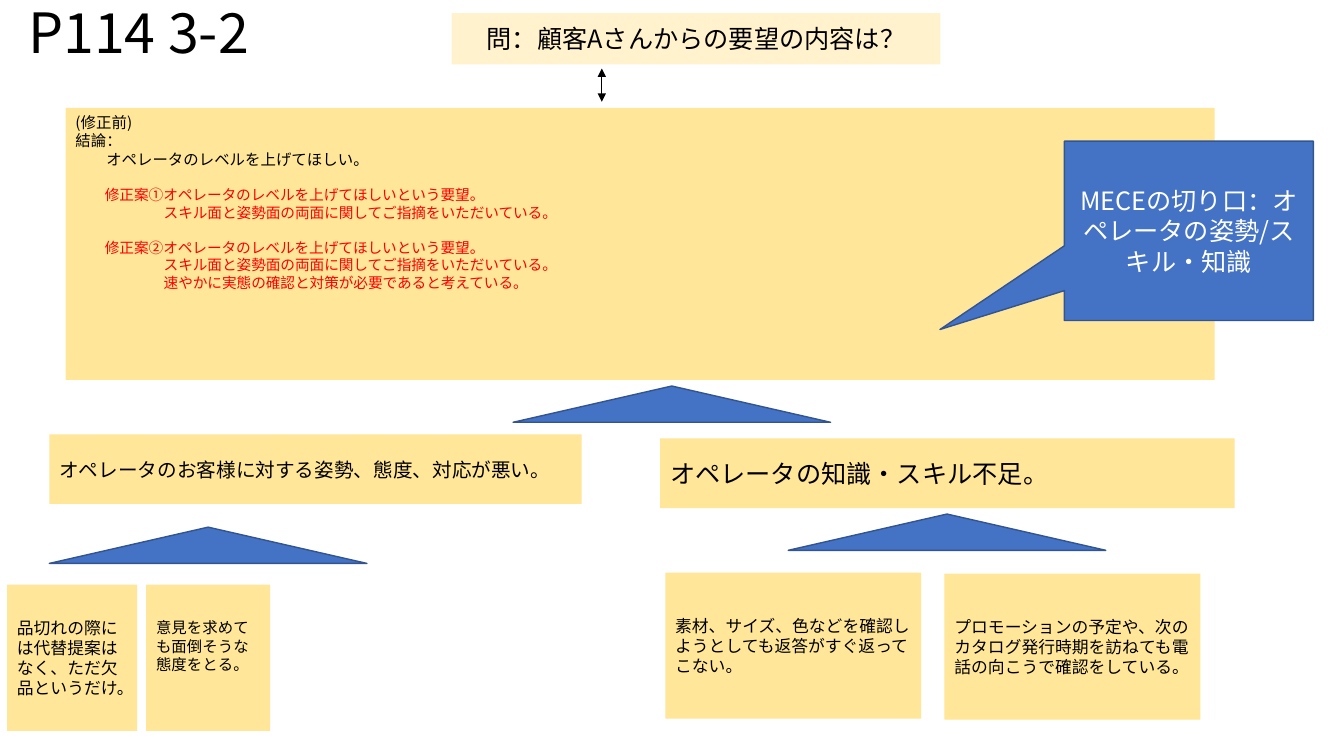
"""Builds the one-slide logic pyramid on a customer's request."""
from dataclasses import dataclass

from lxml import etree
from pptx import Presentation
from pptx.dml.color import RGBColor
from pptx.enum.shapes import MSO_CONNECTOR, MSO_SHAPE
from pptx.enum.text import MSO_ANCHOR, MSO_AUTO_SIZE, PP_ALIGN
from pptx.oxml.ns import qn
from pptx.util import Inches, Pt

RECT, WEDGE = MSO_SHAPE.RECTANGLE, MSO_SHAPE.RECTANGULAR_CALLOUT
PEAK = MSO_SHAPE.ISOSCELES_TRIANGLE
LINE = MSO_CONNECTOR.STRAIGHT
LEFT, CENTER = PP_ALIGN.LEFT, PP_ALIGN.CENTER
TOP, MIDDLE = MSO_ANCHOR.TOP, MSO_ANCHOR.MIDDLE
FIXED = MSO_AUTO_SIZE.NONE
COLS, ROWS = 160, 90


@dataclass(frozen=True)
class Theme:
    """Colours, font and type sizes."""
    font: str = "Noto Sans CJK JP"
    ink: str = "000000"
    red: str = "FF0000"
    white: str = "FFFFFF"
    cream: str = "FFF2CC"
    sand: str = "FFE699"
    blue: str = "4472C4"
    edge: str = "325491"
    title: float = 39.6
    large: float = 18
    mid: float = 14
    body: float = 12
    small: float = 11
    tiny: float = 10.5


class Board:
    """Holds the theme and the slide, and adds elements on the grid."""

    def __init__(self, deck, theme):
        """Add a slide with a title."""
        self.theme = theme
        self.slide = deck.slides.add_slide(deck.slide_layouts[5])
        self.unit = deck.slide_width / COLS, deck.slide_height / ROWS

    def place(self, *cells):
        """Turn grid pairs into lengths."""
        return [round(cell * self.unit[i % 2]) for i, cell in enumerate(cells)]

    def style(self, para, size, color, align=LEFT):
        """Format a paragraph and its runs."""
        para.alignment = align
        for run in para.runs:
            font = run.font
            font.size = Pt(size)
            font.color.rgb = RGBColor.from_string(color)
            font.name = self.theme.font
            east = etree.SubElement(run._r.get_or_add_rPr(), qn("a:ea"))
            east.set("typeface", self.theme.font)

    def title(self, cells, text):
        """Move and fill the title placeholder."""
        shape = self.slide.shapes.title
        shape.left, shape.top, shape.width, shape.height = self.place(*cells)
        frame = shape.text_frame
        frame.text = text
        frame.auto_size = FIXED
        frame.vertical_anchor = MIDDLE
        frame.paragraphs[0].line_spacing = 0.9
        self.style(frame.paragraphs[0], self.theme.title, self.theme.ink)

    def shape(self, kind, cells, fill, edge=None):
        """Add a flat preset shape."""
        shape = self.slide.shapes.add_shape(kind, *self.place(*cells))
        shape.shadow.inherit = False
        shape.fill.solid()
        shape.fill.fore_color.rgb = RGBColor.from_string(fill)
        if edge:
            shape.line.color.rgb = RGBColor.from_string(edge)
            shape.line.width = Pt(1)
        else:
            shape.line.fill.background()
        return shape

    def label(self, shape, text, size, color, align=LEFT):
        """Set vertically centred text in a shape."""
        frame = shape.text_frame
        frame.word_wrap = True
        frame.vertical_anchor = MIDDLE
        frame.text = text
        self.style(frame.paragraphs[0], size, color, align)
        return frame

    def box(self, cells, text, size, fill=None, align=LEFT):
        """Add a filled text box."""
        shape = self.shape(RECT, cells, fill or self.theme.sand)
        return self.label(shape, text, size, self.theme.ink, align)

    def lines(self, cells, rows):
        """Add a box of lines given as text, size, colour, indent, gap."""
        shape = self.shape(RECT, cells, self.theme.sand)
        frame = shape.text_frame
        frame.word_wrap = True
        frame.vertical_anchor = TOP
        frame.text = "\n".join(row[0] for row in rows)
        for para, (_, size, color, indent, gap) in zip(frame.paragraphs, rows):
            self.style(para, size, color)
            para.space_before = Pt(gap)
            para._p.get_or_add_pPr().set("marL", str(Pt(indent * size)))

    def peak(self, col, row):
        """Add a flat triangle pointing up to the claim."""
        self.shape(PEAK, (col, row, 37.8, 4.32), self.theme.blue, self.theme.edge)

    def callout(self, cells, tip, text):
        """Add a speech callout with its tip."""
        shape = self.shape(WEDGE, cells, self.theme.blue, self.theme.edge)
        for i, value in enumerate(tip):
            shape.adjustments[i] = value
        self.label(shape, text, self.theme.large, self.theme.white, CENTER)

    def arrow(self, *ends):
        """Add a line with a head at both ends."""
        link = self.slide.shapes.add_connector(LINE, *self.place(*ends))
        link.line.color.rgb = RGBColor.from_string(self.theme.ink)
        link.line.width = Pt(0.5)
        props = link._element.spPr
        for tag in ("a:headEnd", "a:tailEnd"):
            etree.SubElement(props.find(qn("a:ln")), qn(tag)).set("type", "triangle")
        etree.SubElement(props, qn("a:effectLst"))


theme = Theme()
deck = Presentation()
deck.slide_width, deck.slide_height = Inches(13.33), Inches(7.5)
board = Board(deck, theme)

board.title((2.16, 0.24, 41.52, 7.92), "P114 3-2")
board.box((53.76, 1.56, 58.2, 6.12), "問：顧客Aさんからの要望の内容は？",
          theme.large, theme.cream, CENTER)
board.arrow(71.64, 8.16, 71.64, 12.12)

wish = "オペレータのレベルを上げてほしい"
both = "スキル面と姿勢面の両面に関してご指摘をいただいている。"
plain = theme.small, theme.ink
fix = theme.tiny, theme.red
board.lines((7.8, 12.84, 136.8, 32.4), [
    ("(修正前)", *plain, 0, 0),
    ("結論：", *plain, 0, 0),
    (wish + "。", *plain, 2, 0),
    ("修正案①" + wish + "という要望。", *fix, 2, 12.5),
    (both, *fix, 6, 0),
    ("修正案②" + wish + "という要望。", *fix, 2, 12.5),
    (both, *fix, 6, 0),
    ("速やかに実態の確認と対策が必要であると考えている。", *fix, 6, 0),
])
board.callout((126.72, 16.8, 29.64, 21.36), (-1.0, 0.55),
              "MECEの切り口：オペレータの姿勢/スキル・知識")

for spot in ((61.08, 45.96), (5.88, 62.76), (93.84, 61.2)):
    board.peak(*spot)

CLAIMS = [
    (5.88, 51.72, 63.36, "オペレータのお客様に対する姿勢、態度、対応が悪い。", theme.mid),
    (78.6, 52.2, 68.4, "オペレータの知識・スキル不足。", theme.large),
]
for col, row, wide, text, size in CLAIMS:
    board.box((col, row, wide, 8.28), text, size)

FACTS = [
    (0.84, 69.6, 15.48, "品切れの際には代替提案はなく、ただ欠品というだけ。", theme.body, 0.05),
    (17.4, 69.6, 14.76, "意見を求めても面倒そうな態度をとる。", theme.small, 0.28),
    (79.2, 68.16, 30.48,
     "素材、サイズ、色などを確認しようとしても返答がすぐ返ってこない。", theme.body, 0.05),
    (112.44, 68.28, 30.48,
     "プロモーションの予定や、次のカタログ発行時期を訪ねても電話の向こうで確認をしている。",
     theme.body, 0.05),
]
for col, row, wide, text, size, foot in FACTS:
    frame = board.box((col, row, wide, 17.4), text, size)
    frame.margin_bottom = Inches(foot)

deck.save("out.pptx")
